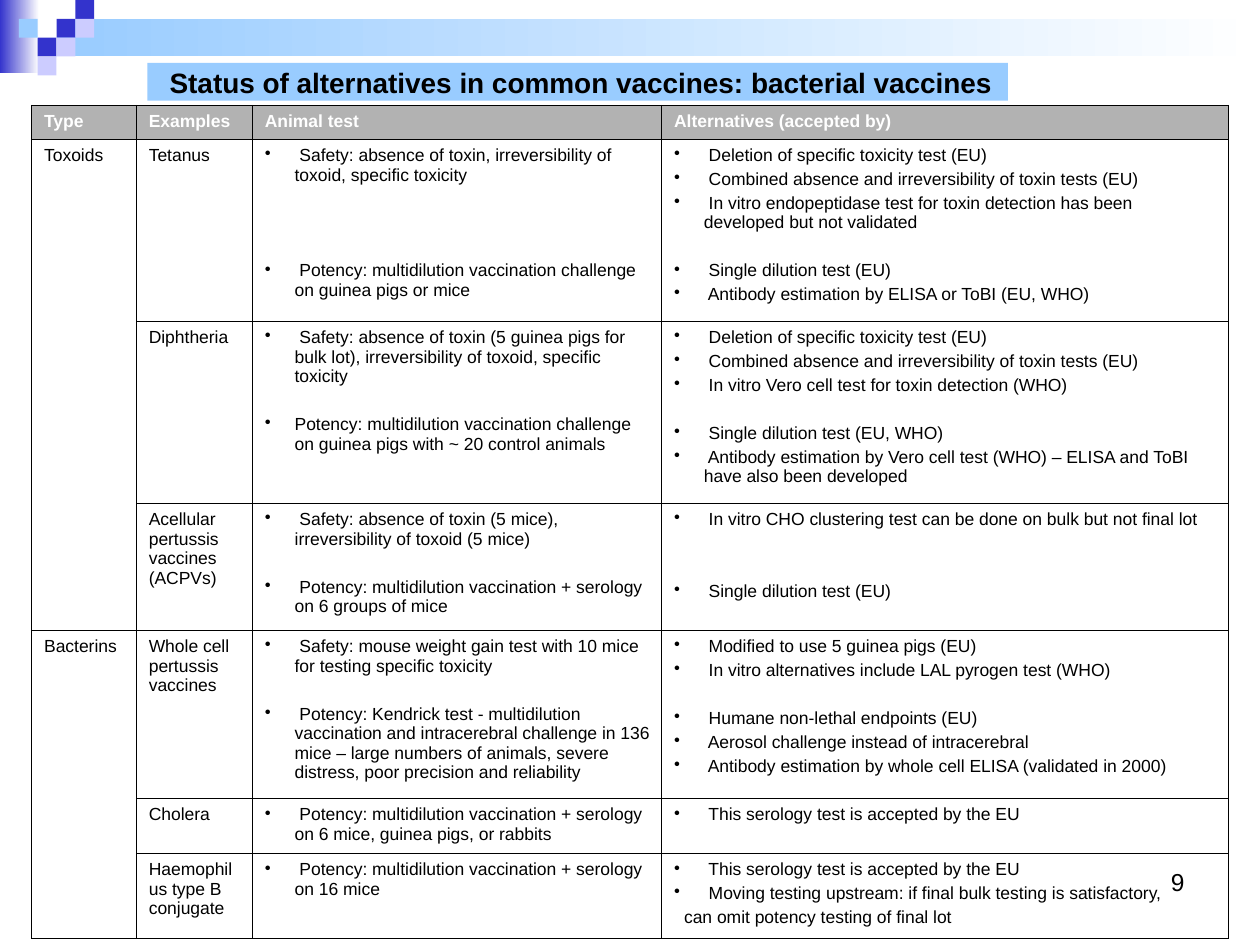
from lxml import etree
from pptx import Presentation
from pptx import util as u
from pptx.dml.color import RGBColor
from pptx.enum import shapes, text
from pptx.oxml import ns

COLORS = {
    "ink": "000000", "paper": "FFFFFF", "header": "B2B2B2",
    "indigo": "3333CC", "sky": "99CCFF", "lilac": "CCCCFF",
}
TITLE = {"name": "Arial", "size": u.Pt(16), "bold": True}
HEAD = {"name": "Arial", "size": u.Pt(10), "bold": True}
BODY = {"name": "Arial", "size": u.Pt(10), "bold": False}
NUMBER = {"name": "Arial", "size": u.Pt(14), "bold": False}
MARGINS = {
    "margin_left": u.Cm(0.25), "margin_right": u.Cm(0.25),
    "margin_top": u.Cm(0.13), "margin_bottom": u.Cm(0.13),
}
SPACE, BLANK = 2.5, 13.7
HANG, CONTINUATION = u.Cm(0.6), u.Cm(0.2)
COLS = [2.11, 2.34, 8.25, 11.43]
ROWS = [0.69, 3.67, 3.67, 2.56, 3.39, 1.11, 1.71]

HEADINGS = ["Type", "Examples", "Animal test", "Alternatives (accepted by)"]
TYPES = [("Toxoids", 1, 3), ("Bacterins", 4, 6)]
# Each item is (wording, blank lines above it).
VACCINES = [
    ("Tetanus",
     [(" Safety: absence of toxin, irreversibility of toxoid, specific toxicity", 0),
      (" Potency: multidilution vaccination challenge on guinea pigs or mice", 3)],
     [(" Deletion of specific toxicity test (EU)", 0),
      (" Combined absence and irreversibility of toxin tests (EU)", 0),
      (" In vitro endopeptidase test for toxin detection has been developed but not validated", 0),
      (" Single dilution test (EU)", 1),
      (" Antibody estimation by ELISA or ToBI (EU, WHO)", 0)]),
    ("Diphtheria",
     [(" Safety: absence of toxin (5 guinea pigs for bulk lot), irreversibility of toxoid, "
       "specific toxicity", 0),
      ("Potency: multidilution vaccination challenge on guinea pigs with ~ 20 control animals", 1)],
     [(" Deletion of specific toxicity test (EU)", 0),
      (" Combined absence and irreversibility of toxin tests (EU)", 0),
      (" In vitro Vero cell test for toxin detection (WHO)", 0),
      (" Single dilution test (EU, WHO)", 1),
      (" Antibody estimation by Vero cell test (WHO) – ELISA and ToBI have also been developed", 0)]),
    ("Acellular pertussis vaccines (ACPVs)",
     [(" Safety: absence of toxin (5 mice), irreversibility of toxoid (5 mice)", 0),
      (" Potency: multidilution vaccination + serology on 6 groups of mice", 1)],
     [(" In vitro CHO clustering test can be done on bulk but not final lot", 0),
      (" Single dilution test (EU)", 2)]),
    ("Whole cell pertussis vaccines",
     [(" Safety: mouse weight gain test with 10 mice for testing specific toxicity", 0),
      (" Potency: Kendrick test - multidilution vaccination and intracerebral challenge in "
       "136 mice – large numbers of animals, severe distress, poor precision and reliability", 1)],
     [(" Modified to use 5 guinea pigs (EU)", 0),
      (" In vitro alternatives include LAL pyrogen test (WHO)", 0),
      (" Humane non-lethal endpoints (EU)", 1),
      (" Aerosol challenge instead of intracerebral", 0),
      (" Antibody estimation by whole cell ELISA (validated in 2000)", 0)]),
    ("Cholera",
     [(" Potency: multidilution vaccination + serology on 6 mice, guinea pigs, or rabbits", 0)],
     [(" This serology test is accepted by the EU", 0)]),
    ("Haemophilus type B conjugate",
     [(" Potency: multidilution vaccination + serology on 16 mice", 0)],
     [(" This serology test is accepted by the EU", 0),
      (" Moving testing upstream: if final bulk testing is satisfactory,", 0)]),
]
CLOSING = "can omit potency testing of final lot"


def rgb(name):
    return RGBColor.from_string(COLORS[name])


def apply(target, fmt):
    for key, value in fmt.items():
        setattr(target, key, value)


def write(p, wording, fmt, color="ink"):
    r = p.add_run()
    r.text = wording
    apply(r.font, fmt)
    r.font.color.rgb = rgb(color)


def add_rect(s, x, y, w, h, color, fade=False):
    sp = s.shapes.add_shape(shapes.MSO_SHAPE.RECTANGLE, u.Cm(x), u.Cm(y), u.Cm(w), u.Cm(h))
    sp.shadow.inherit = False
    sp.line.fill.background()
    if fade:
        sp.fill.gradient()
        sp.fill.gradient_angle = 0
        for stop, name in zip(sp.fill.gradient_stops, (color, "paper")):
            stop.color.rgb = rgb(name)
    else:
        sp.fill.solid()
        sp.fill.fore_color.rgb = rgb(color)


def add_text(s, x, y, w, h, wording, fmt, align):
    tf = s.shapes.add_textbox(u.Cm(x), u.Cm(y), u.Cm(w), u.Cm(h)).text_frame
    tf.word_wrap = True
    apply(tf, MARGINS)
    p = tf.paragraphs[0]
    p.alignment = align
    write(p, wording, fmt)


def add_banner(s, x, y, w):
    unit = 0.38
    add_rect(s, x, y, 0.79, 1.47, "indigo", fade=True)
    add_rect(s, x + 3 * unit, y + unit, w - 3 * unit, 2 * unit, "sky", fade=True)
    for col, row, color in [(3, 1, "indigo"), (4, 0, "indigo"), (4, 1, "lilac"),
                            (2, 2, "indigo"), (1, 1, "sky"), (3, 2, "lilac"), (2, 3, "lilac")]:
        add_rect(s, x + col * unit, y + row * unit, unit, unit, color)


def add_title(s, x, y, w, h):
    add_rect(s, x, y, w, h, "sky")
    add_text(s, x + 0.2, y - 0.08, w + 0.2, h + 0.18,
             "Status of alternatives in common vaccines: bacterial vaccines",
             TITLE, text.PP_ALIGN.LEFT)


def set_borders(cell, outer):
    tc_pr = cell._tc.get_or_add_tcPr()
    for side in "LRTB":
        width = u.Pt(0.75 if side in outer else 0.45)
        ln = etree.SubElement(tc_pr, ns.qn(f"a:ln{side}"), w=str(int(width)))
        fill = etree.SubElement(ln, ns.qn("a:solidFill"))
        etree.SubElement(fill, ns.qn("a:srgbClr"), val=COLORS["ink"])


def write_bullets(tf, items):
    for i, (wording, blanks) in enumerate(items):
        p = tf.add_paragraph() if i else tf.paragraphs[0]
        p_pr = p._p.get_or_add_pPr()
        p_pr.set("marL", str(int(HANG)))
        p_pr.set("indent", str(-int(HANG)))
        etree.SubElement(p_pr, ns.qn("a:buChar"), char="•")
        if i:
            p.space_before = u.Pt(round(SPACE + blanks * BLANK, 1))
        write(p, wording, BODY)


def add_vaccine_table(s, x, y):
    frame = s.shapes.add_table(len(ROWS), len(COLS), u.Cm(x), u.Cm(y),
                               u.Cm(sum(COLS)), u.Cm(sum(ROWS)))
    table = frame.table
    apply(table, {"first_row": False, "horz_banding": False})
    for col, width in zip(table.columns, COLS):
        col.width = u.Cm(width)
    for row, height in zip(table.rows, ROWS):
        row.height = u.Cm(height)
    for i in range(len(ROWS)):
        for j in range(len(COLS)):
            cell = table.cell(i, j)
            apply(cell, MARGINS)
            outer = {0: "L", len(COLS) - 1: "R"}.get(j, "")
            set_borders(cell, outer + ("B" if i == len(ROWS) - 1 else ""))
            if i:
                cell.fill.background()
            else:
                cell.fill.solid()
                cell.fill.fore_color.rgb = rgb("header")
    for j, heading in enumerate(HEADINGS):
        write(table.cell(0, j).text_frame.paragraphs[0], heading, HEAD, "paper")
    for name, first, last in TYPES:
        table.cell(first, 0).merge(table.cell(last, 0))
        write(table.cell(first, 0).text_frame.paragraphs[0], name, BODY)
    for i, (example, tests, alternatives) in enumerate(VACCINES, 1):
        write(table.cell(i, 1).text_frame.paragraphs[0], example, BODY)
        write_bullets(table.cell(i, 2).text_frame, tests)
        write_bullets(table.cell(i, 3).text_frame, alternatives)
    p = table.cell(len(VACCINES), 3).text_frame.add_paragraph()
    p._p.get_or_add_pPr().set("marL", str(int(CONTINUATION)))
    p.space_before = u.Pt(SPACE)
    write(p, CLOSING, BODY)


def main():
    prs = Presentation()
    prs.slide_width, prs.slide_height = u.Cm(25.4), u.Cm(19.05)
    s = prs.slides.add_slide(prs.slide_layouts[6])
    add_banner(s, 0, 0, 25.4)
    add_title(s, 2.97, 1.27, 17.35, 0.76)
    add_vaccine_table(s, 0.64, 2.12)
    add_text(s, 18.21, 17.35, 5.92, 1.32, "9", NUMBER, text.PP_ALIGN.RIGHT)
    prs.save("out.pptx")


if __name__ == "__main__":
    main()
